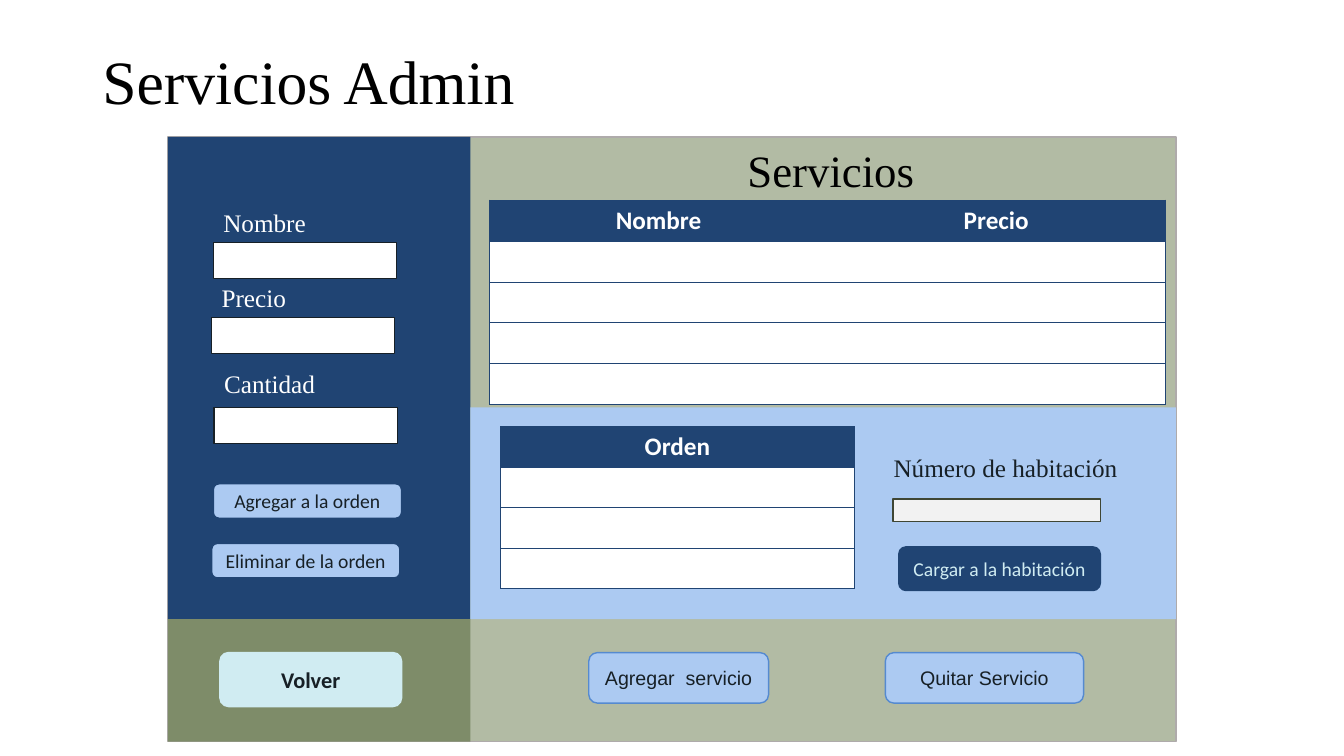
from collections import namedtuple

from lxml.etree import SubElement
from pptx import Presentation
from pptx.dml.color import RGBColor
from pptx.enum.shapes import MSO_SHAPE
from pptx.enum.text import MSO_ANCHOR, PP_ALIGN
from pptx.oxml.ns import qn
from pptx.util import Inches, Pt

COLUMNS, ROWS = 160, 90
UNIT = Inches(1) / 12
NAVY, SKY, ICE, INK = "204473", "ACCAF2", "D0ECF2", "172026"
SAGE, OLIVE, WHITE, BLACK = "B2BBA4", "7E8C69", "FFFFFF", "000000"
SERIF, SANS, PLAIN = "Times New Roman", "Calibri", "Arial"

Box = namedtuple("Box", "left top width height")


def inside(box, left, top, width, height):
    """Return a box placed relative to the corner of another one."""
    return Box(box.left + left, box.top + top, width, height)


def lengths(box):
    """Turn grid cells into slide lengths."""
    return [round(value * UNIT) for value in box]


def color(value):
    """Turn a hex string into a colour."""
    return RGBColor.from_string(value)


def write(frame, text, font, hue, **formats):
    """Write one formatted paragraph and return it."""
    para = frame.paragraphs[0]
    span = para.add_run()
    span.text = text
    span.font.color.rgb = color(hue)
    for name, value in {"name": font, **formats}.items():
        setattr(span.font, name, value)
    return para


def add_panel(page, box, fill, line=None, kind=MSO_SHAPE.RECTANGLE):
    """Draw a filled shape with an optional thin outline."""
    panel = page.shapes.add_shape(kind, *lengths(box))
    panel.shadow.inherit = False
    panel.fill.solid()
    panel.fill.fore_color.rgb = color(fill)
    if line:
        panel.line.color.rgb = color(line)
        panel.line.width = Pt(1)
    else:
        panel.line.fill.background()
    return panel


def add_button(page, box, text, fill=SKY, line=None, font=SANS, hue=INK, size=14, bold=False):
    """Draw a rounded button with a centred caption."""
    button = add_panel(page, box, fill, line, MSO_SHAPE.ROUNDED_RECTANGLE)
    frame = button.text_frame
    margins = dict.fromkeys(("margin_left", "margin_right", "margin_top", "margin_bottom"), 0)
    for name, value in {**margins, "word_wrap": True, "vertical_anchor": MSO_ANCHOR.MIDDLE}.items():
        setattr(frame, name, value)
    write(frame, text, font, hue, size=Pt(size), bold=bold).alignment = PP_ALIGN.CENTER


def add_label(page, box, text, hue):
    """Write a form label."""
    frame = page.shapes.add_textbox(*lengths(box)).text_frame
    frame.word_wrap = True
    write(frame, text, SERIF, hue, size=Pt(18)).space_after = Pt(6)


def add_heading(page, box, text, size):
    """Write a heading centred on the height of its box."""
    frame = page.shapes.add_textbox(*lengths(box)).text_frame
    frame.word_wrap = True
    frame.vertical_anchor = MSO_ANCHOR.MIDDLE
    write(frame, text, SERIF, BLACK, size=Pt(size)).line_spacing = 0.9


def set_borders(cell, sides):
    """Rule the named sides of a cell and clear the others."""
    properties = cell._tc.get_or_add_tcPr()
    for index, side in enumerate("LRTB"):
        line = SubElement(properties, qn(f"a:ln{side}"), w=str(Pt(0.5)))
        if side in sides:
            fill = SubElement(line, qn("a:solidFill"))
            SubElement(fill, qn("a:srgbClr"), val=NAVY)
        else:
            SubElement(line, qn("a:noFill"))
        properties.insert(index, line)


def add_list(page, box, headers, row_count):
    """Draw an empty list table under a dark header row."""
    table = page.shapes.add_table(row_count, len(headers), *lengths(box)).table
    table.horz_banding = False
    for row_index, row in enumerate(table.rows):
        for column, (cell, header) in enumerate(zip(row.cells, headers)):
            cell.vertical_anchor = MSO_ANCHOR.MIDDLE
            cell.fill.solid()
            cell.fill.fore_color.rgb = color(WHITE if row_index else NAVY)
            left = "L" if column == 0 else ""
            right = "R" if column == len(headers) - 1 else ""
            set_borders(cell, "TB" + left + right)
            if row_index == 0:
                para = write(cell.text_frame, header, SANS, WHITE, size=Pt(18), bold=True)
                para.alignment = PP_ALIGN.CENTER


def add_sidebar(page, box):
    """Build the form with its fields and order buttons."""
    add_panel(page, box, NAVY)
    fields = [("Nombre", 5.4, 7.8, 12.6), ("Precio", 5.2, 16.7, 21.5), ("Cantidad", 5.5, 26.9, 32.2)]
    for text, left, label_top, field_top in fields:
        add_panel(page, inside(box, left, field_top, 21.8, 4.3), WHITE, INK)
        add_label(page, inside(box, left, label_top, 19.6, 4.8), text, WHITE)
    for text, left, top in [("Agregar a la orden", 5.4, 41.3), ("Eliminar de la orden", 5.2, 48.4)]:
        add_button(page, inside(box, left, top, 22.4, 4.1), text, line=NAVY)


def add_catalog(page, box):
    """Build the list of services with its heading."""
    add_heading(page, inside(box, 31.8, -1, 27.6, 10.6), "Servicios", 32)
    add_list(page, inside(box, 2.3, 7.5, 80.4, 24.4), ["Nombre", "Precio"], 5)


def add_order(page, box):
    """Build the order list and the room charge form."""
    add_panel(page, box, SKY)
    add_list(page, inside(box, 3.6, 2.3, 42.1, 19.3), ["Orden"], 4)
    add_label(page, inside(box, 49.2, 4.7, 30, 4.8), "Número de habitación", INK)
    add_panel(page, inside(box, 50.3, 10.9, 24.7, 2.7), "F2F2F2", "3F4634")
    add_button(page, inside(box, 51, 16.6, 24, 5.2), "Cargar a la habitación", NAVY, NAVY, hue=ICE)


def add_footer(page, box):
    """Build the bottom bar with its three buttons."""
    add_panel(page, box._replace(width=36), OLIVE)
    add_button(page, inside(box, 6.1, 3.9, 21.8, 6.6), "Volver", ICE, size=16, bold=True)
    for text, left, width in [("Agregar  servicio", 50.1, 21.4), ("Quitar Servicio", 85.4, 23.6)]:
        add_button(page, inside(box, left, 4, width, 6), text, line="558AD0", font=PLAIN)


def main():
    """Build the deck and save it."""
    deck = Presentation()
    deck.slide_width, deck.slide_height = round(COLUMNS * UNIT), round(ROWS * UNIT)
    page = deck.slides.add_slide(deck.slide_layouts[6])
    window = Box(20, 16.3, 120, 72)
    add_panel(page, window, SAGE, "AFABAB")
    add_heading(page, Box(11, 4.8, 138, 10.6), "Servicios Admin", 44)
    add_sidebar(page, inside(window, 0, 0, 36, 57.4))
    add_catalog(page, inside(window, 36, 0, 84, 32.2))
    add_order(page, inside(window, 36, 32.2, 84, 25.2))
    add_footer(page, inside(window, 0, 57.4, 120, 14.6))
    deck.save("out.pptx")


if __name__ == "__main__":
    main()
